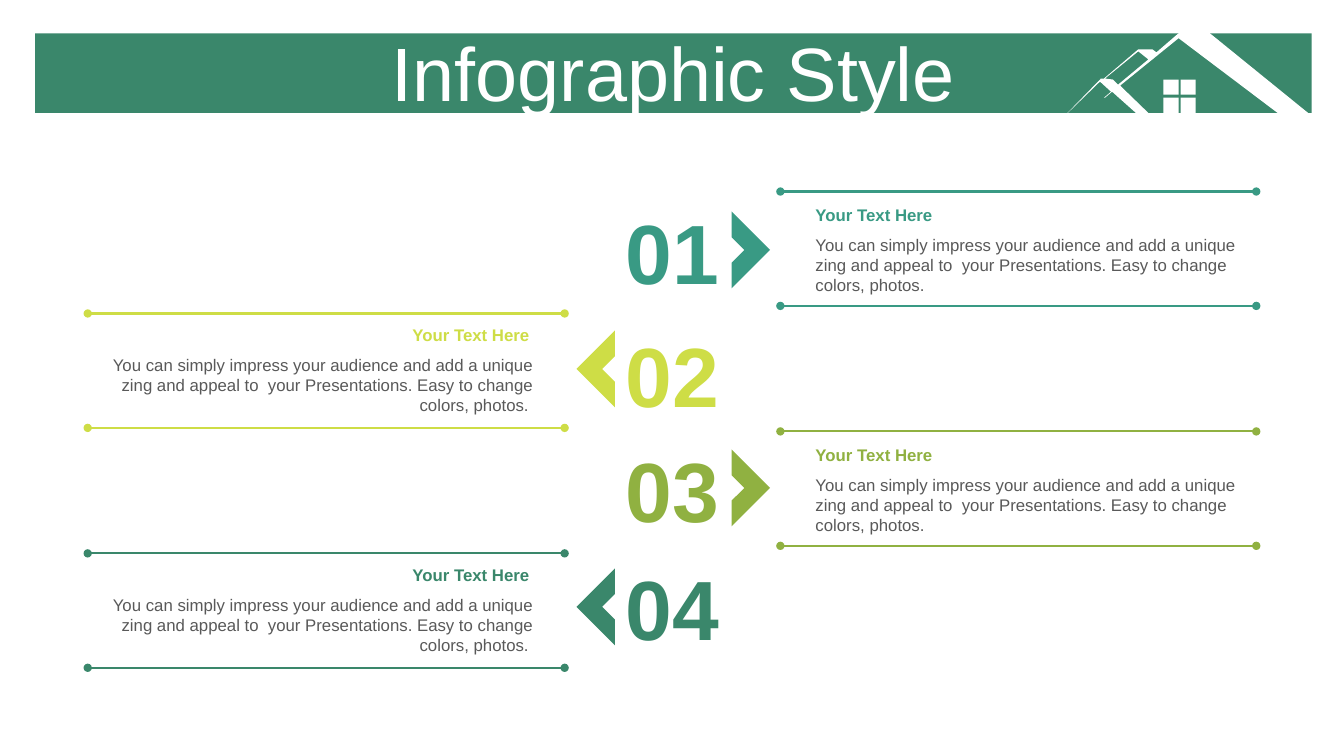
from lxml import etree
from pptx import Presentation
from pptx.dml.color import RGBColor
from pptx.enum.shapes import MSO_CONNECTOR, MSO_SHAPE
from pptx.enum.text import MSO_ANCHOR, PP_ALIGN
from pptx.oxml.ns import qn
from pptx.util import Inches, Pt

LEFT, CENTER, RIGHT = PP_ALIGN.LEFT, PP_ALIGN.CENTER, PP_ALIGN.RIGHT
TOP, MIDDLE = MSO_ANCHOR.TOP, MSO_ANCHOR.MIDDLE
STRAIGHT = MSO_CONNECTOR.STRAIGHT
RECTANGLE, HALF_FRAME = MSO_SHAPE.RECTANGLE, MSO_SHAPE.HALF_FRAME

THEME = {
    "font": "Arial",
    "white": RGBColor.from_string("FFFFFF"),
    "banner": RGBColor.from_string("3A876B"),
    "body": RGBColor.from_string("595959"),
    "steps": [RGBColor.from_string(code)
              for code in ("399A84", "CEDD46", "90B141", "3A876B")],
    "title_size": Pt(54),
    "number_size": Pt(60),
    "text_size": Pt(12),
    "rule_width": Pt(1.5),
}

# The grid has square cells of a tenth of an inch: 133.3 columns by 75 rows.
CELL = Inches(0.1)
COLUMNS, ROWS = 133.3, 75
STEP_ROWS = 11.9
CHEVRON_ROWS = 11.8
CHEVRON_SIZE = 5.4
NUMBER_TOPS = [19.3, 31.5, 42.9, 54.7]

# Odd steps stand on the right of the numbers, even steps on the left.
SIDES = [
    {"rule": (77.4, 124.6), "rule_top": 19, "text": 79.9, "align": LEFT,
     "chevron": 69.85, "turn": 135, "ending": ""},
    {"rule": (8.7, 56), "rule_top": 19.2, "text": 9.9, "align": RIGHT,
     "chevron": 58.3, "turn": 315, "ending": " "},
]

HEADING = "Your Text Here"
BODY = ("You can simply impress your audience and add a unique zing and appeal "
        "to  your Presentations. Easy to change colors, photos.")

# House outlines, in hundredths of an inch.
PANES = [[(x, y), (x + 15, y), (x + 15, y + 15), (x, y + 15)]
         for x in (1154, 1171) for y in (79, 97)]
SMALL_ROOF = [(1129, 51), (1096, 78), (1104, 79), (1109, 84), (1139, 59)]
ROOF_LINES = [
    (1169, 33), (1200, 33), (1301, 115), (1271, 115), (1169, 38), (1111, 85),
    (1143, 116), (1131, 116), (1103, 91), (1096, 97), (1095, 97), (1102, 91),
    (1091, 81), (1055, 116), (1056, 115), (1092, 78), (1095, 78), (1129, 49),
    (1143, 49), (1147, 52),
]


def cells(*counts):
    return [round(count * CELL) for count in counts]


def add_text(slide, box, text, size, color, align, anchor=TOP, bold=False):
    """Add a one-paragraph text box, placed in grid cells, and return the paragraph."""
    frame = slide.shapes.add_textbox(*cells(*box)).text_frame
    frame.word_wrap = True
    frame.vertical_anchor = anchor
    paragraph = frame.paragraphs[0]
    paragraph.alignment = align
    run = paragraph.add_run()
    run.text = text
    run.font.name = THEME["font"]
    run.font.size = size
    run.font.bold = bold
    run.font.color.rgb = color
    return paragraph


presentation = Presentation()
presentation.slide_width, presentation.slide_height = cells(COLUMNS, ROWS)
slide = presentation.slides.add_slide(presentation.slide_layouts[6])

# Banner with house and title
banner = slide.shapes.add_shape(RECTANGLE, *cells(3.5, 3.3, 126.6, 7.9))
house_builder = slide.shapes.build_freeform(*ROOF_LINES[0], scale=CELL / 10)
house_builder.add_line_segments(ROOF_LINES[1:], close=True)
for outline in [SMALL_ROOF, *PANES]:
    house_builder.move_to(*outline[0])
    house_builder.add_line_segments(outline[1:], close=True)
house = house_builder.convert_to_shape()
for shape, color in ((banner, THEME["banner"]), (house, THEME["white"])):
    shape.shadow.inherit = False
    shape.fill.solid()
    shape.fill.fore_color.rgb = color
    shape.line.fill.background()

title = add_text(slide, (3.5, 3.7, 126.6, 7.9), "Infographic Style",
                 THEME["title_size"], THEME["white"], CENTER, MIDDLE)
title.line_spacing = 0.9
title.space_before = Pt(10)

# Four numbered steps
for index, color in enumerate(THEME["steps"]):
    side = SIDES[index % 2]
    step_top = index * STEP_ROWS

    add_text(slide, (61, NUMBER_TOPS[index], 11.4, 11.1), f"{index + 1:02}",
             THEME["number_size"], color, CENTER, MIDDLE, bold=True)
    add_text(slide, (side["text"], 19.8 + step_top, 43.6, 3), HEADING,
             THEME["text_size"], color, side["align"], bold=True)
    add_text(slide, (side["text"], 22.8 + step_top, 44, 7.1),
             BODY + side["ending"], THEME["text_size"], THEME["body"], side["align"])

    start, end = side["rule"]
    for rule_top in (side["rule_top"], side["rule_top"] + 11.35):
        row = rule_top + step_top
        rule = slide.shapes.add_connector(STRAIGHT, *cells(start, row, end, row))
        rule.line.color.rgb = color
        rule.line.width = THEME["rule_width"]
        line_element = rule.line._get_or_add_ln()
        for tip in ("a:headEnd", "a:tailEnd"):
            etree.SubElement(line_element, qn(tip), type="oval")
        etree.SubElement(rule._element.spPr, qn("a:effectLst"))

    chevron = slide.shapes.add_shape(HALF_FRAME, *cells(
        side["chevron"], 22.1 + index * CHEVRON_ROWS, CHEVRON_SIZE, CHEVRON_SIZE))
    chevron.rotation = side["turn"]
    chevron.shadow.inherit = False
    chevron.fill.solid()
    chevron.fill.fore_color.rgb = color
    chevron.line.fill.background()

presentation.save("out.pptx")
